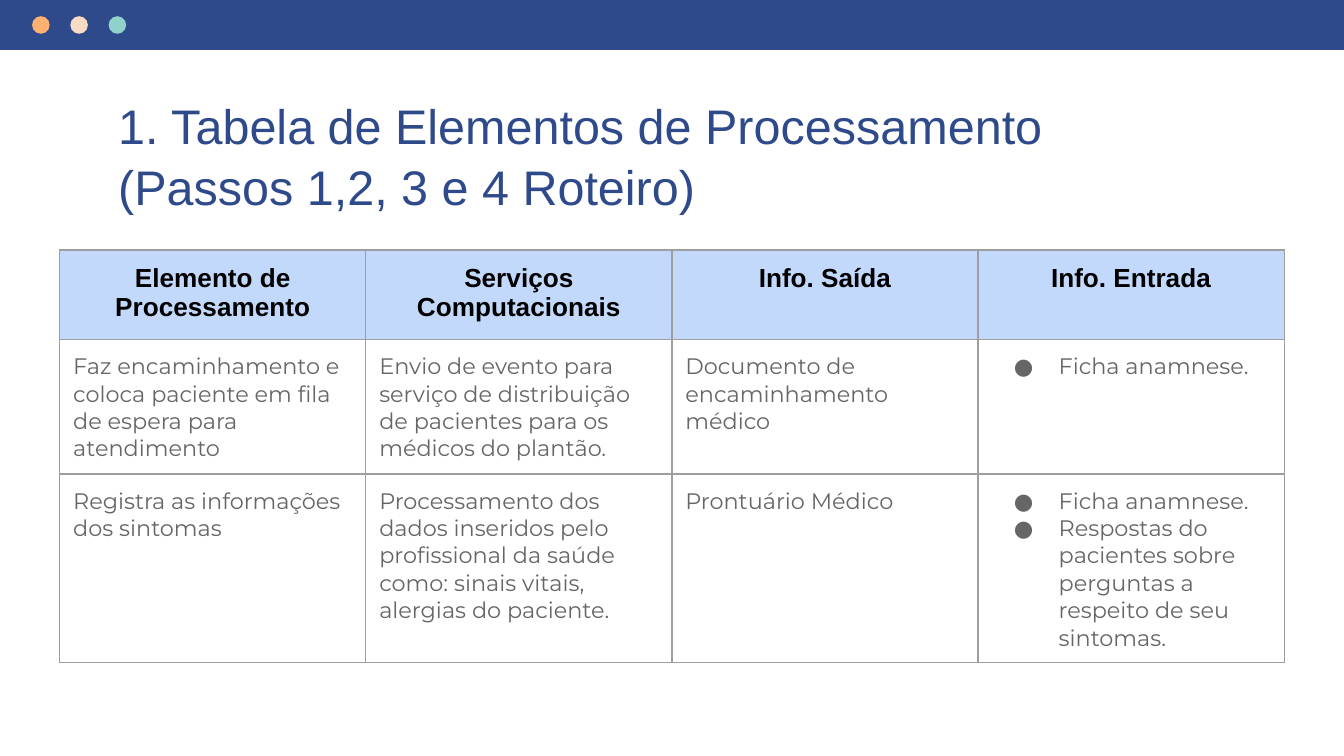
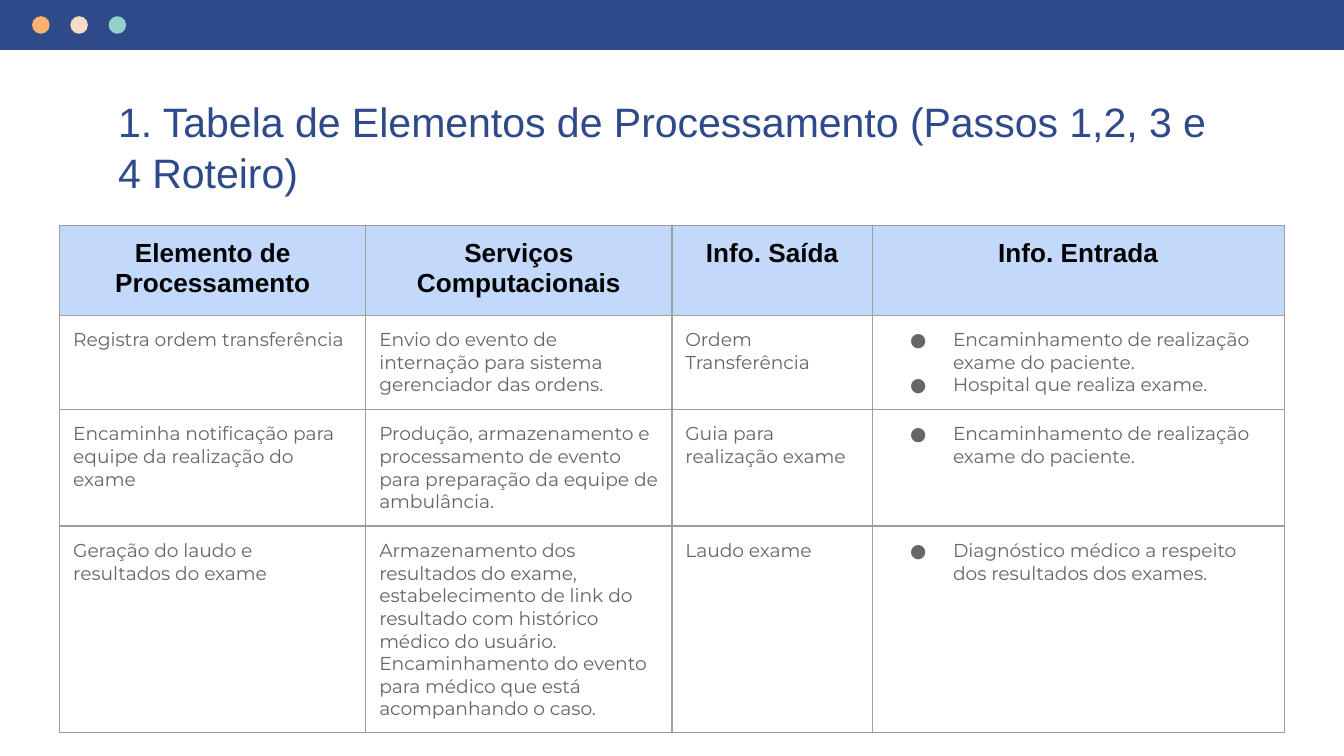
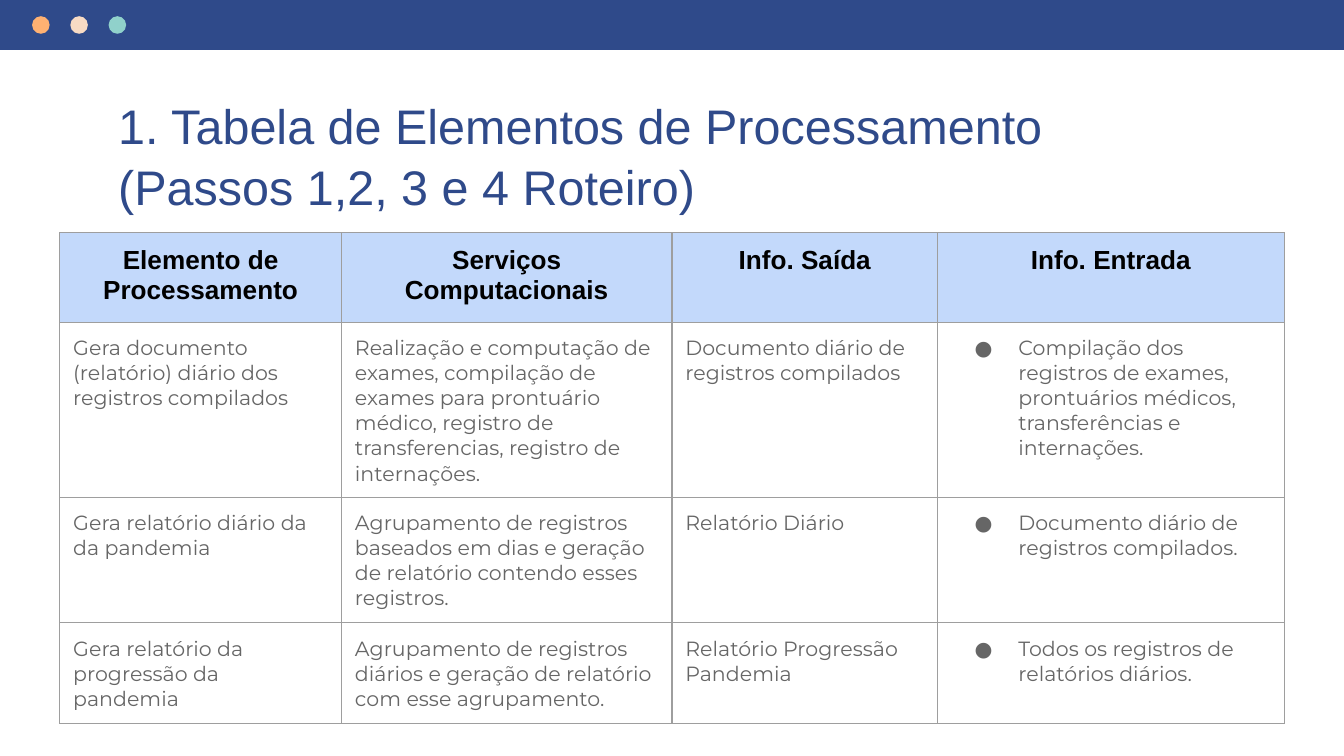
from dataclasses import dataclass
from typing import NamedTuple

from lxml.etree import SubElement as Sub
from pptx import Presentation
from pptx.dml.color import RGBColor as Rgb
from pptx.enum.shapes import MSO_SHAPE as Kind
from pptx.enum.text import MSO_ANCHOR as Anchor, PP_ALIGN as Align
from pptx.oxml.ns import qn
from pptx.util import Pt


@dataclass(frozen=True)
class Theme:
    navy: str = "2F4A8A"
    dots: tuple = ("FFB172", "F8DBC4", "90D1CB")
    head: str = "C3D9FB"
    rule: str = "9E9E9E"
    ink: str = "000000"
    grey: str = "666666"
    sans: str = "Arial"
    body: str = "Montserrat"
    label: float = 14
    inset: float = 7.2
    line: float = 0.75


class Box(NamedTuple):
    left: float
    top: float
    width: float
    height: float


class Page(NamedTuple):
    size: float
    top: float
    text: float
    cols: tuple
    tall: tuple
    rows: tuple


THEME = Theme()
WIDE, HIGH = 720, 405
TITLE = "1. Tabela de Elementos de Processamento (Passos 1,2, 3 e 4 Roteiro)"
HEADS = ("Elemento de Processamento", "Serviços Computacionais",
         "Info. Saída", "Info. Entrada")
BAND = Box(0, 0, WIDE, 26.8)
DOT = Box(17.2, 8.7, 9.4, 9.4)
STEP = 20.5
NAME = Box(56.2, 43.2, 607.6, 36.7)
LEFT = 32

PAGES = (
    Page(26, 133.9, 12, (164, 164, 164, 164), (36, 36, 36), (
        ("Faz encaminhamento e coloca paciente em fila de espera para atendimento",
         "Envio de evento para serviço de distribuição de pacientes para os médicos do plantão.",
         "Documento de encaminhamento médico",
         ("Ficha anamnese.",)),
        ("Registra as informações dos sintomas",
         "Processamento dos dados inseridos pelo profissional da saúde como: "
         "sinais vitais, alergias do paciente.",
         "Prontuário Médico",
         ("Ficha anamnese.",
          "Respostas do pacientes sobre perguntas a respeito de seu sintomas.")),
    )),
    Page(22, 120.8, 10, (164, 164, 107.4, 220.6), (36, 46, 36, 36), (
        ("Registra ordem transferência",
         "Envio do evento de internação para sistema gerenciador das ordens.",
         "Ordem Transferência",
         ("Encaminhamento de realização exame do paciente.",
          "Hospital que realiza exame.")),
        ("Encaminha notificação para equipe da realização do exame",
         "Produção, armazenamento e processamento de evento para preparação "
         "da equipe de ambulância.",
         "Guia para realização exame",
         ("Encaminhamento de realização exame do paciente.",)),
        ("Geração do laudo e resultados do exame",
         "Armazenamento dos resultados do exame, estabelecimento de link do "
         "resultado com histórico médico do usuário. Encaminhamento do evento "
         "para médico que está acompanhando o caso.",
         "Laudo exame",
         ("Diagnóstico médico a respeito dos resultados dos exames.",)),
    )),
    Page(26, 124.6, 11, (151, 177, 142.4, 185.6), (36, 36, 36, 36), (
        ("Gera documento (relatório) diário dos registros compilados",
         "Realização e computação de exames, compilação de exames para prontuário "
         "médico, registro de transferencias, registro de internações.",
         "Documento diário de registros compilados",
         ("Compilação dos registros de exames, prontuários médicos, "
          "transferências e internações.",)),
        ("Gera relatório diário da da pandemia",
         "Agrupamento de registros baseados em dias e geração de relatório "
         "contendo esses registros.",
         "Relatório Diário",
         ("Documento diário de registros compilados.",)),
        ("Gera relatório da progressão da pandemia",
         "Agrupamento de registros diários e geração de relatório com esse agrupamento.",
         "Relatório Progressão Pandemia",
         ("Todos os registros de relatórios diários.",)),
    )),
)


def place(box: Box) -> tuple:
    return tuple(Pt(side) for side in box)


def draw(slide, kind, box: Box, color: str) -> None:
    shape = slide.shapes.add_shape(kind, *place(box))
    shape.shadow.inherit = False
    shape.fill.solid()
    shape.fill.fore_color.rgb = Rgb.from_string(color)
    shape.line.fill.background()


def style(para, face: str, size: float, color: str, bold: bool = False) -> None:
    font = para.font
    font.name, font.size, font.bold = face, Pt(size), bold
    font.color.rgb = Rgb.from_string(color)


def bullet(para, size: float) -> None:
    props = para._p.get_or_add_pPr()
    props.set("marL", str(Pt(36)))
    props.set("indent", str(-Pt(18 + size / 2)))
    Sub(Sub(props, qn("a:buClr")), qn("a:srgbClr"), val=THEME.grey)
    Sub(props, qn("a:buFont"), typeface=THEME.body)
    Sub(props, qn("a:buChar"), char="●")


def border(cell) -> None:
    props = cell._tc.get_or_add_tcPr()
    for side in "LRTB":
        line = Sub(props, qn(f"a:ln{side}"), w=str(Pt(THEME.line)))
        Sub(Sub(line, qn("a:solidFill")), qn("a:srgbClr"), val=THEME.rule)


def pad(item) -> None:
    item.margin_left = item.margin_right = Pt(THEME.inset)
    item.margin_top = item.margin_bottom = Pt(THEME.inset)


def frame(slide) -> None:
    draw(slide, Kind.RECTANGLE, BAND, THEME.navy)
    for spot, color in enumerate(THEME.dots):
        draw(slide, Kind.OVAL, DOT._replace(left=DOT.left + spot * STEP), color)


def title(slide, size: float) -> None:
    text = slide.shapes.add_textbox(*place(NAME)).text_frame
    text.word_wrap = True
    text.vertical_anchor = Anchor.TOP
    pad(text)
    para = text.paragraphs[0]
    para.text = TITLE
    para.line_spacing = 1.04
    style(para, THEME.sans, size, THEME.navy)


def fill(cell, value, size: float, head: bool) -> None:
    pad(cell)
    border(cell)
    items = (value,) if isinstance(value, str) else value
    text = cell.text_frame
    text.text = "\n".join(items)
    for para in text.paragraphs:
        if head:
            para.alignment = Align.CENTER
            style(para, THEME.sans, THEME.label, THEME.ink, True)
        else:
            if items is value:
                bullet(para, size)
            style(para, THEME.body, size, THEME.grey)
    if head:
        cell.fill.solid()
        cell.fill.fore_color.rgb = Rgb.from_string(THEME.head)
    else:
        cell.fill.background()


def grid(slide, page: Page) -> None:
    box = Box(LEFT, page.top, sum(page.cols), sum(page.tall))
    rows = (HEADS, *page.rows)
    table = slide.shapes.add_table(len(rows), len(HEADS), *place(box)).table
    table.first_row = table.horz_banding = False
    for col, width in zip(table.columns, page.cols):
        col.width = Pt(width)
    for row, tall in zip(table.rows, page.tall):
        row.height = Pt(tall)
    for r, row in enumerate(rows):
        for c, value in enumerate(row):
            fill(table.cell(r, c), value, page.text, r == 0)


def main() -> None:
    deck = Presentation()
    deck.slide_width, deck.slide_height = Pt(WIDE), Pt(HIGH)
    for page in PAGES:
        slide = deck.slides.add_slide(deck.slide_layouts[6])
        frame(slide)
        title(slide, page.size)
        grid(slide, page)
    deck.save("out.pptx")


if __name__ == "__main__":
    main()
